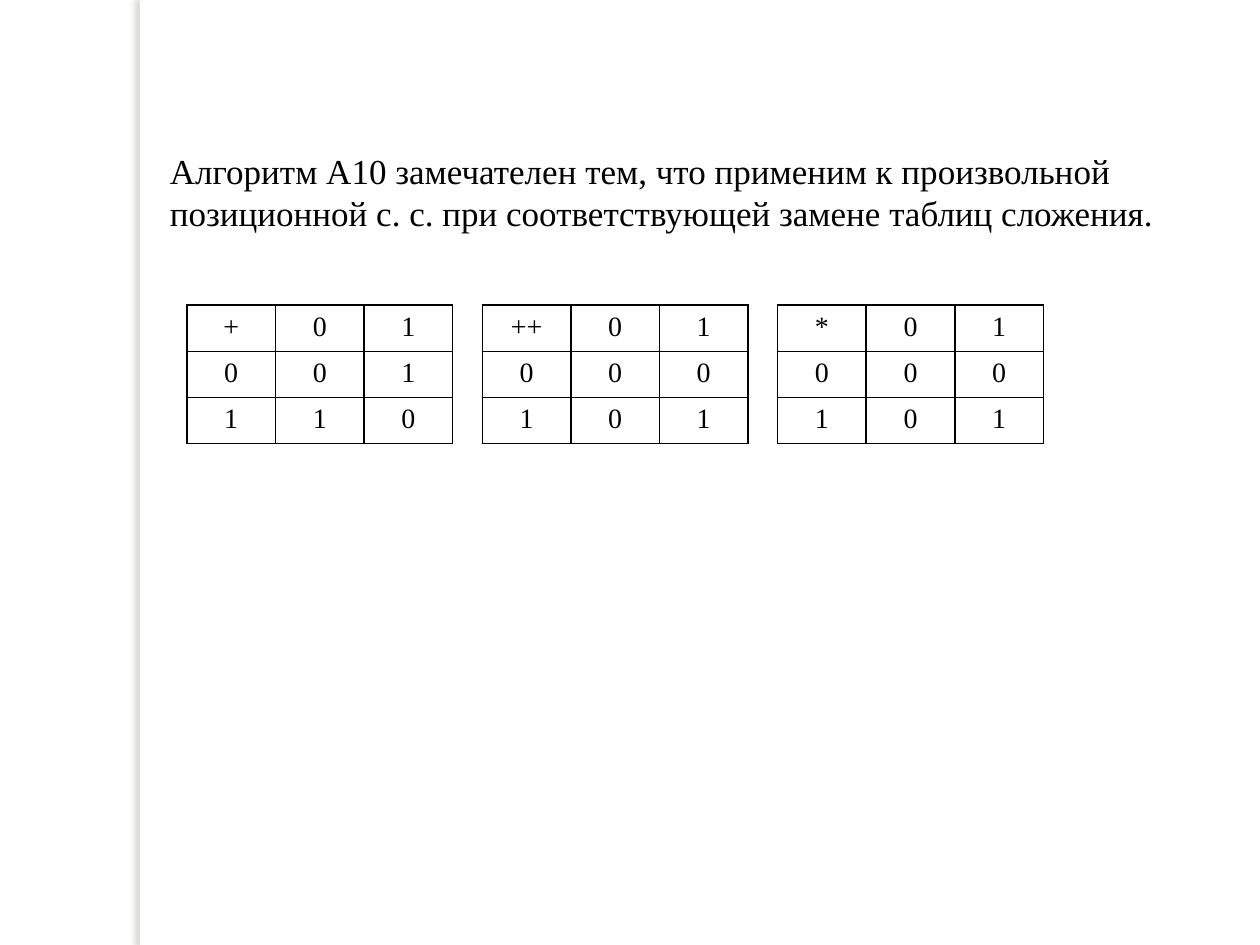
"""Build a slide with three binary operation tables."""
from dataclasses import dataclass

from lxml import etree
from pptx import Presentation
from pptx.dml.color import RGBColor
from pptx.enum.shapes import MSO_SHAPE
from pptx.enum.text import MSO_ANCHOR, PP_ALIGN
from pptx.oxml import parse_xml
from pptx.oxml.ns import nsdecls, qn
from pptx.slide import Slide
from pptx.table import _Cell
from pptx.text.text import TextFrame
from pptx.util import Pt

RECTANGLE = MSO_SHAPE.RECTANGLE
MIDDLE = MSO_ANCHOR.MIDDLE
TOP = MSO_ANCHOR.TOP
LEFT = PP_ALIGN.LEFT
CENTER = PP_ALIGN.CENTER
FONT = "Times New Roman"
BLACK = "000000"
WHITE = "FFFFFF"
SHADOW = "736F63"
BLANK_LAYOUT = 6
TABLE_LEFT, TABLE_TOP, TABLE_STEP = 106.8, 174.3, 168.8
COLUMN_WIDTH, ROW_HEIGHT = 50.6, 26.4
STATEMENT = (
    "Алгоритм А10 замечателен тем, что применим к произвольной "
    "позиционной с. с. при соответствующей замене таблиц сложения. "
)


@dataclass(frozen=True)
class Operation:
    """A binary operation: its sign and its results by row."""

    sign: str
    results: tuple[str, str]

    def rows(self) -> list[list[str]]:
        """Return the table rows with operand headings."""
        body = [[operand, *line] for operand, line in zip("01", self.results)]
        return [[self.sign, "0", "1"], *body]


OPERATIONS = (
    Operation("+", ("01", "10")),
    Operation("++", ("00", "01")),
    Operation("*", ("00", "01")),
)


def color(value: str) -> RGBColor:
    """Return the colour for a hex string."""
    return RGBColor.from_string(value)


def write(frame: TextFrame, text: str, *, size: float, align: PP_ALIGN = LEFT) -> None:
    """Write one formatted paragraph into a text frame."""
    para = frame.paragraphs[0]
    para.alignment = align
    span = para.add_run()
    span.text = text
    span.font.name = FONT
    span.font.size = Pt(size)
    span.font.bold = False
    span.font.color.rgb = color(BLACK)


def add_margin_strip(page: Slide) -> None:
    """Add the white vertical strip that casts a shadow to the left."""
    strip = page.shapes.add_shape(RECTANGLE, Pt(80), Pt(0), Pt(5.75), Pt(540))
    strip.fill.solid()
    strip.fill.fore_color.rgb = color(WHITE)
    strip.line.fill.background()
    strip.shadow.inherit = False
    effects = strip.element.spPr.find(qn("a:effectLst"))
    shadow = etree.SubElement(
        effects, qn("a:outerShdw"), blurRad=str(Pt(3)), dist=str(Pt(3)), dir="10800000"
    )
    tint = etree.SubElement(shadow, qn("a:srgbClr"), val=SHADOW)
    etree.SubElement(tint, qn("a:alpha"), val="25000")


def add_statement(page: Slide) -> None:
    """Add the statement above the tables."""
    box = page.shapes.add_textbox(Pt(90), Pt(81.6), Pt(590.4), Pt(55.7))
    frame = box.text_frame
    frame.word_wrap = True
    frame.vertical_anchor = MIDDLE
    write(frame, STATEMENT, size=20)


def add_borders(cell: _Cell) -> None:
    """Give a cell solid lines on all four sides."""
    properties = cell._tc.get_or_add_tcPr()
    for side in ("lnL", "lnR", "lnT", "lnB"):
        properties.append(parse_xml(
            f'<a:{side} {nsdecls("a")} w="{Pt(1)}"><a:solidFill>'
            f'<a:srgbClr val="{BLACK}"/></a:solidFill></a:{side}>'
        ))


def add_operation(page: Slide, operation: Operation, left: float) -> None:
    """Add the table of one operation."""
    rows = operation.rows()
    count = len(rows)
    table = page.shapes.add_table(
        count, count, Pt(left), Pt(TABLE_TOP),
        Pt(COLUMN_WIDTH * count), Pt(ROW_HEIGHT * count),
    ).table
    table.first_row = False
    table.horz_banding = False
    for row, values in zip(table.rows, rows):
        for cell, value in zip(row.cells, values):
            add_borders(cell)
            cell.fill.background()
            cell.vertical_anchor = TOP
            write(cell.text_frame, value, size=16, align=CENTER)


def main() -> None:
    """Build and save the deck."""
    deck = Presentation()
    deck.slide_width, deck.slide_height = Pt(720), Pt(540)
    page = deck.slides.add_slide(deck.slide_layouts[BLANK_LAYOUT])
    add_margin_strip(page)
    add_statement(page)
    for index, operation in enumerate(OPERATIONS):
        add_operation(page, operation, TABLE_LEFT + index * TABLE_STEP)
    deck.save("out.pptx")


main()
